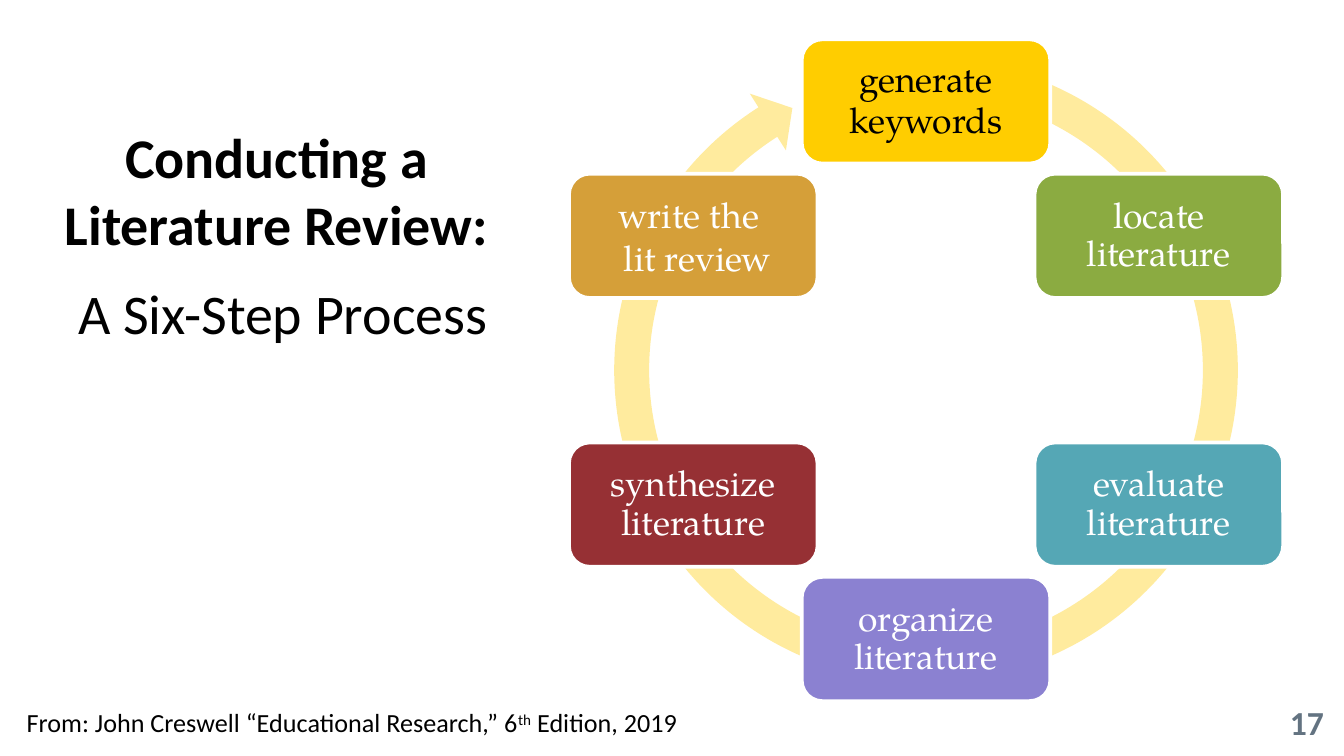
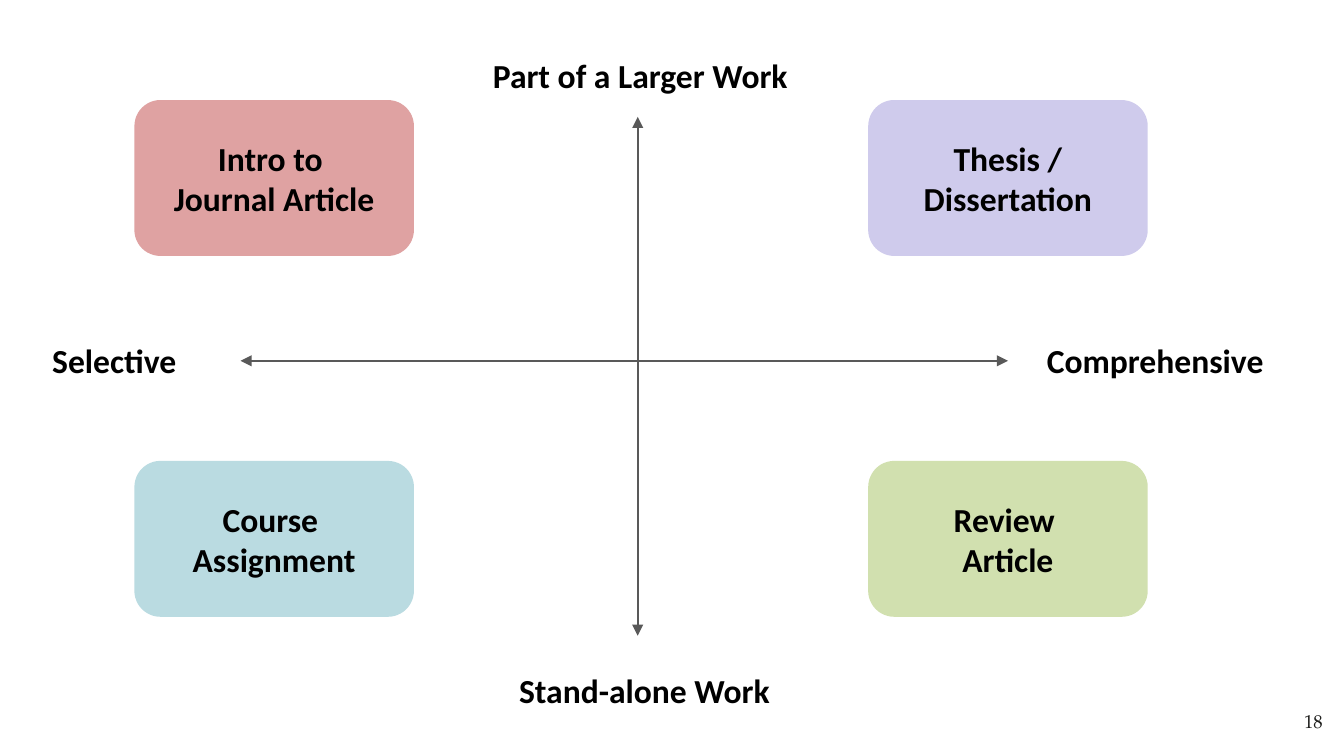
from dataclasses import dataclass
from math import cos, radians, sin, tan
from typing import Optional

from lxml.etree import SubElement
from pptx import Presentation
from pptx.dml.color import RGBColor
from pptx.enum.shapes import MSO_CONNECTOR, MSO_SHAPE
from pptx.enum.text import MSO_ANCHOR, PP_ALIGN
from pptx.oxml.ns import qn
from pptx.util import Inches, Pt

# The grid: 100 columns across the slide, with square cells.
WIDTH, HEIGHT = Inches(10), Inches(5.625)
CELL = WIDTH / 100

BODY_FONT, CYCLE_FONT = "Calibri", "TeX Gyre Pagella"
COLORS = {
    "black": "000000", "white": "FFFFFF", "slate": "637381", "ink": "1D1D1B",
    "axis": "595959", "gold": "FFCD00", "green": "8BAB41", "teal": "55A7B5",
    "violet": "8B81D1", "red": "963034", "ochre": "D59F39",
    "pale red": "DFA2A2", "pale violet": "CFCBEC",
    "pale teal": "BADBE1", "pale green": "D1E0AF",
}
Point = tuple[float, float]


@dataclass(frozen=True)
class Box:
    """A rectangle in grid cells."""
    left: float
    top: float
    width: float
    height: float

    def emu(self) -> tuple[int, ...]:
        return tuple(round(v * CELL)
                     for v in (self.left, self.top, self.width, self.height))


@dataclass(frozen=True)
class Style:
    size: float
    font: str = BODY_FONT
    color: str = "black"
    bold: bool = False
    align: PP_ALIGN = PP_ALIGN.CENTER
    line_spacing: float = 1.0
    space_before: float = 0


@dataclass(frozen=True)
class Step:
    lines: tuple[str, ...]
    fill: str
    text_color: str = "white"
    line_spacing: float = 0.9


@dataclass(frozen=True)
class Quadrant:
    lines: tuple[str, ...]
    fill: str
    column: int
    row: int


@dataclass(frozen=True)
class AxisEnd:
    label: str
    box: Box
    align: PP_ALIGN


@dataclass(frozen=True)
class Axis:
    start: Point
    end: Point


# Slide 1: the six steps stand on a circle, clockwise from the top.
CENTER_X, CENTER_Y, STEP_RADIUS = 68.9, 27.55, 20
STEP_WIDTH, STEP_HEIGHT = 18.5, 9.25
RING_RADIUS, RING_HALF, WING_HALF = 21.9, 1.3, 2.5
RING_START, RING_END, TIP_ANGLE, RING_CURVES = 15, 327.5, 333, 5
STEPS = (
    Step(("generate", "keywords"), "gold", "black"),
    Step(("locate literature",), "green"),
    Step(("evaluate literature",), "teal"),
    Step(("organize literature",), "violet"),
    Step(("synthesize literature",), "red"),
    Step(("write the ", " lit review"), "ochre", line_spacing=1.0),
)

# Slide 2: four kinds of review around two axes.
QUADRANT_COLUMNS, QUADRANT_ROWS = (10, 64.6), (7.45, 34.3)
QUADRANT_WIDTH, QUADRANT_HEIGHT = 20.8, 11.6
QUADRANTS = (
    Quadrant(("Intro to ", "Journal Article"), "pale red", 0, 0),
    Quadrant(("Thesis /\vDissertation",), "pale violet", 1, 0),
    Quadrant(("Course ", "Assignment"), "pale teal", 0, 1),
    Quadrant(("Review \vArticle",), "pale green", 1, 1),
)
AXES = (Axis((17.9, 26.85), (75, 26.85)), Axis((47.45, 47.3), (47.45, 8.7)))
AXIS_ENDS = (
    AxisEnd("Selective", Box(2.9, 24.8, 12.9, 4), PP_ALIGN.LEFT),
    AxisEnd("Comprehensive", Box(76.9, 24.8, 20.9, 4), PP_ALIGN.LEFT),
    AxisEnd("Part of a Larger Work", Box(33.5, 3.6, 28.3, 4), PP_ALIGN.CENTER),
    AxisEnd("Stand-alone Work", Box(35.9, 49.35, 24.1, 4), PP_ALIGN.CENTER),
)


def rgb(name: str) -> RGBColor:
    return RGBColor.from_string(COLORS[name])


def style_paragraph(paragraph, style: Style) -> None:
    paragraph.alignment = style.align
    paragraph.line_spacing = style.line_spacing
    paragraph.space_before = Pt(style.space_before)
    font = paragraph.font
    font.name, font.size, font.bold = style.font, Pt(style.size), style.bold
    font.color.rgb = rgb(style.color)


def write(frame, lines: tuple[str, ...], styles: tuple[Style, ...],
          inset: Point = (1, 0.5),
          anchor: MSO_ANCHOR = MSO_ANCHOR.TOP) -> None:
    """Fill a text frame, one paragraph a line; inset is across, down in cells."""
    frame.word_wrap = True
    frame.vertical_anchor = anchor
    across, down = (round(v * CELL) for v in inset)
    frame.margin_left = frame.margin_right = across
    frame.margin_top = frame.margin_bottom = down
    frame.text = "\n".join(lines)
    for paragraph, style in zip(frame.paragraphs, styles):
        style_paragraph(paragraph, style)


def add_text(slide, box: Box, lines: tuple[str, ...],
             styles: tuple[Style, ...], inset: Point = (1, 0.5)):
    frame = slide.shapes.add_textbox(*box.emu()).text_frame
    write(frame, lines, styles, inset)
    return frame


def add_card(slide, box: Box, fill: str, outline: Optional[str] = None):
    """Add a rounded rectangle and return its text frame."""
    card = slide.shapes.add_shape(MSO_SHAPE.ROUNDED_RECTANGLE, *box.emu())
    card.adjustments[0] = 0.167
    card.shadow.inherit = False
    card.fill.solid()
    card.fill.fore_color.rgb = rgb(fill)
    if outline:
        card.line.color.rgb = rgb(outline)
        card.line.width = Pt(2)
    else:
        card.line.fill.background()
    return card.text_frame


def add_page_number(slide, number: int, left: float, top: float,
                    style: Style) -> None:
    add_text(slide, Box(left, top, 6, 4.3), (str(number),), (style,), (1, 1))


def on_circle(radius: float, angle: float) -> Point:
    """Return the grid point at an angle clockwise from the top."""
    turn = radians(angle)
    return CENTER_X + radius * sin(turn), CENTER_Y - radius * cos(turn)


def arc(radius: float, start: float, end: float) -> list[Point]:
    """Return a start point, then two handles and an end point for each curve."""
    sweep = (end - start) / RING_CURVES
    reach = radius * 4 / 3 * tan(radians(sweep) / 4)

    def handle(angle: float, length: float) -> Point:
        x, y = on_circle(radius, angle)
        return (x + length * cos(radians(angle)),
                y + length * sin(radians(angle)))

    points = [on_circle(radius, start)]
    for i in range(RING_CURVES):
        a, b = start + i * sweep, start + (i + 1) * sweep
        points += [handle(a, reach), handle(b, -reach), on_circle(radius, b)]
    return points


def bend(segments: list) -> None:
    """Turn each three line segments into one Bézier curve."""
    for i in range(0, len(segments), 3):
        curve = segments[i].makeelement(qn("a:cubicBezTo"))
        segments[i].addprevious(curve)
        for segment in segments[i:i + 3]:
            curve.append(segment[0])
            segment.getparent().remove(segment)


def add_ring_arrow(slide) -> None:
    outer = arc(RING_RADIUS + RING_HALF, RING_START, RING_END)
    inner = arc(RING_RADIUS - RING_HALF, RING_END, RING_START)
    head = [on_circle(RING_RADIUS + WING_HALF, RING_END),
            on_circle(RING_RADIUS, TIP_ANGLE),
            on_circle(RING_RADIUS - WING_HALF, RING_END)]
    points = [(round(x * CELL), round(y * CELL))
              for x, y in outer + head + inner]
    builder = slide.shapes.build_freeform(*points[0])
    builder.add_line_segments(points[1:], close=True)
    ring = builder.convert_to_shape()
    segments = list(ring._element.iter(qn("a:lnTo")))
    curved = 3 * RING_CURVES
    bend(segments[:curved])
    bend(segments[-curved:])
    ring.shadow.inherit = False
    ring.line.fill.background()
    ring.fill.solid()
    ring.fill.fore_color.rgb = rgb("gold")
    color = ring._element.spPr.find(qn("a:solidFill")).find(qn("a:srgbClr"))
    SubElement(color, qn("a:alpha")).set("val", "38000")


def add_axis(slide, axis: Axis) -> None:
    ends = [round(v * CELL) for v in axis.start + axis.end]
    arrow = slide.shapes.add_connector(MSO_CONNECTOR.STRAIGHT, *ends)
    arrow.line.color.rgb = rgb("axis")
    arrow.line.width = Pt(1)
    line = arrow._element.spPr.find(qn("a:ln"))
    for end in ("a:headEnd", "a:tailEnd"):
        SubElement(line, qn(end)).set("type", "triangle")
    SubElement(arrow._element.spPr, qn("a:effectLst"))


def build_cycle(slide) -> None:
    add_page_number(slide, 17, 93.5, 51.2,
                    Style(18, color="slate", bold=True, align=PP_ALIGN.RIGHT))
    add_ring_arrow(slide)
    for index, step in enumerate(STEPS):
        x, y = on_circle(STEP_RADIUS, index * 360 / len(STEPS))
        box = Box(x - STEP_WIDTH / 2, y - STEP_HEIGHT / 2,
                  STEP_WIDTH, STEP_HEIGHT)
        first = Style(19, CYCLE_FONT, step.text_color,
                      line_spacing=step.line_spacing)
        second = Style(19, CYCLE_FONT, step.text_color,
                       line_spacing=step.line_spacing,
                       space_before=1.6 if step.line_spacing < 1 else 0)
        write(add_card(slide, box, step.fill, "white"), step.lines,
              (first, second), (1.2, 1.2), MSO_ANCHOR.MIDDLE)

    heading = Style(30, bold=True)
    add_text(slide, Box(1.8, 8.6, 38.5, 17.8),
             ("Conducting a ", "Literature Review: ", "A Six-Step Process"),
             (heading, heading, Style(30, space_before=12)))

    citation = add_text(slide, Box(1, 52.1, 87, 3.4),
                        ("From: John Creswell “Educational Research,” 6",),
                        (Style(14, align=PP_ALIGN.LEFT),)).paragraphs[0]
    ordinal = citation.add_run()
    ordinal.text = "th"
    ordinal._r.get_or_add_rPr().set("baseline", "30000")
    citation.add_run().text = " Edition, 2019"


def build_quadrants(slide) -> None:
    add_page_number(slide, 18, 93.4, 52,
                    Style(10, CYCLE_FONT, "ink", align=PP_ALIGN.RIGHT))
    for axis in AXES:
        add_axis(slide, axis)
    for end in AXIS_ENDS:
        add_text(slide, end.box, (end.label,),
                 (Style(18, bold=True, align=end.align),))
    for quadrant in QUADRANTS:
        box = Box(QUADRANT_COLUMNS[quadrant.column],
                  QUADRANT_ROWS[quadrant.row],
                  QUADRANT_WIDTH, QUADRANT_HEIGHT)
        write(add_card(slide, box, quadrant.fill), quadrant.lines,
              (Style(18, bold=True),) * len(quadrant.lines),
              anchor=MSO_ANCHOR.MIDDLE)


def main() -> None:
    deck = Presentation()
    deck.slide_width, deck.slide_height = WIDTH, HEIGHT
    blank = deck.slide_layouts[6]
    for build in (build_cycle, build_quadrants):
        build(deck.slides.add_slide(blank))
    deck.save("out.pptx")


if __name__ == "__main__":
    main()
